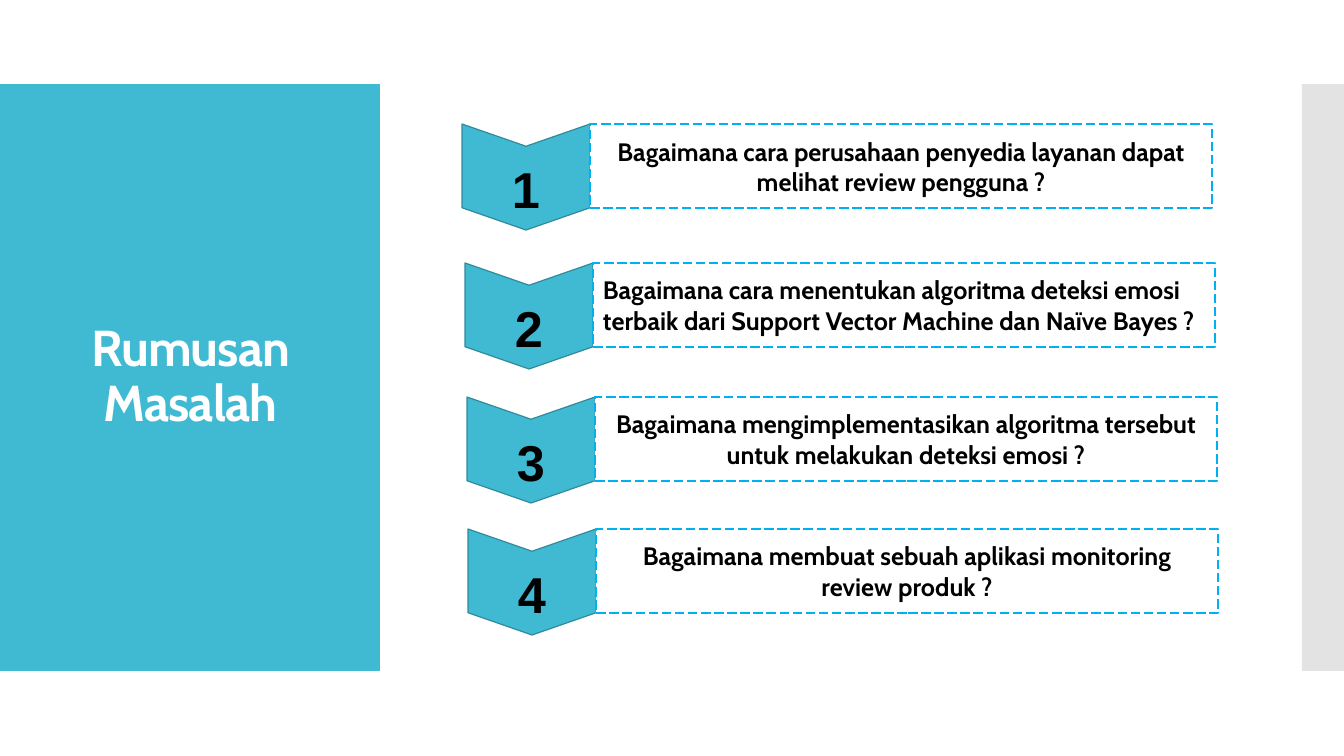
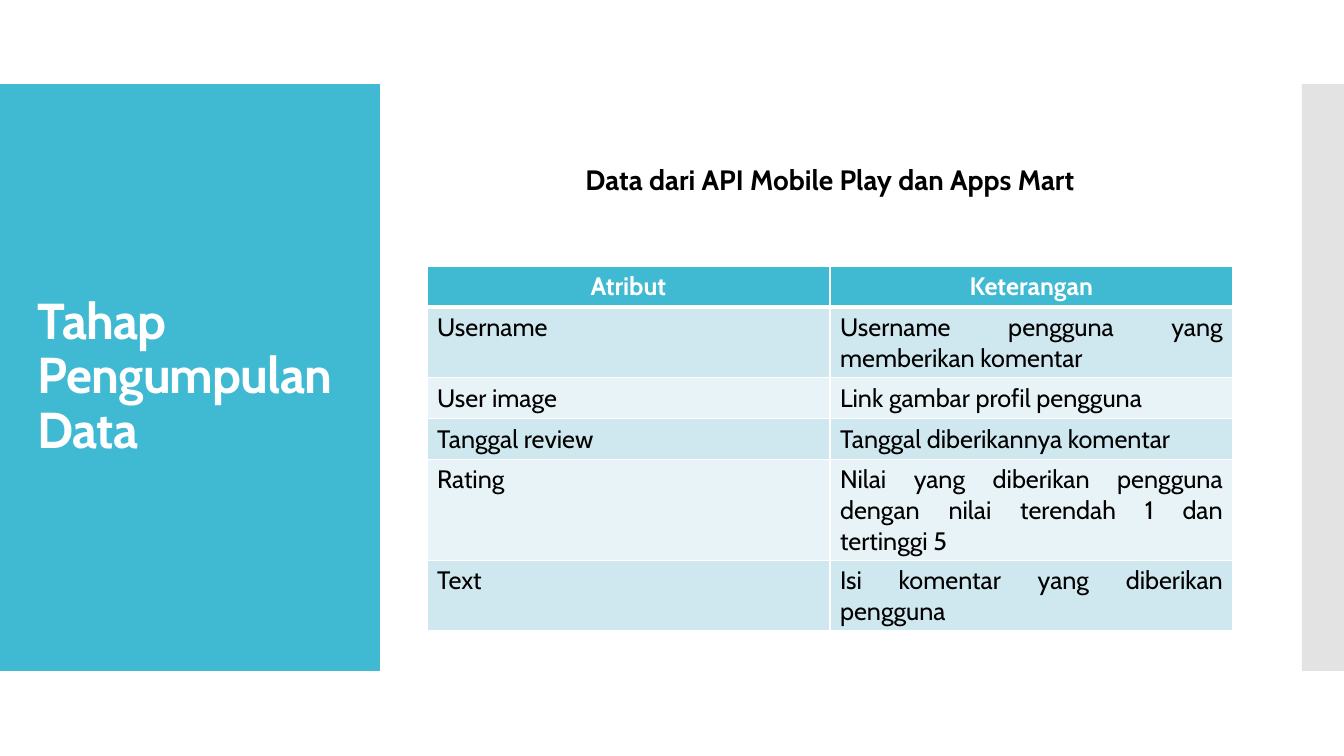
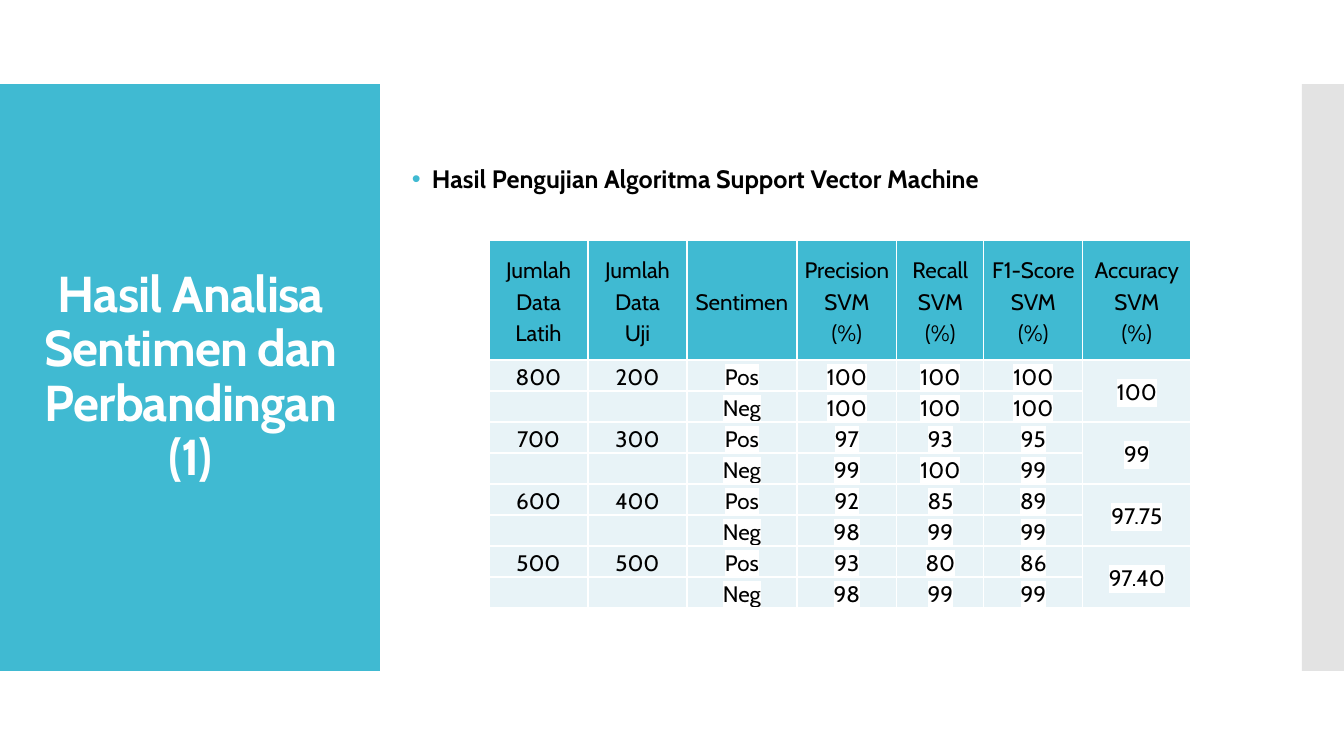
"""Build three slides on problem statements, data collection and sentiment results."""
from lxml.etree import SubElement
from pptx import Presentation
from pptx.dml.color import RGBColor
from pptx.enum.dml import MSO_LINE
from pptx.enum.shapes import MSO_SHAPE as SHAPE
from pptx.enum.text import MSO_ANCHOR as ANCHOR, PP_ALIGN as ALIGN
from pptx.oxml.ns import qn
from pptx.util import Emu, Pt

TEAL = RGBColor(0x40, 0xBA, 0xD2)
DARK_TEAL = RGBColor(0x2F, 0x8A, 0x9B)
BLUE = RGBColor(0x00, 0xB0, 0xF0)
GREY = RGBColor(0xC8, 0xC8, 0xC8)
PALE = RGBColor(0xE8, 0xF3, 0xF7)
PALE_BLUE = RGBColor(0xCF, 0xE7, 0xEE)
WHITE = RGBColor(0xFF, 0xFF, 0xFF)
BLACK = RGBColor(0x00, 0x00, 0x00)
FONT = "Cabin"
SCALE = 914400 / 100.8

QUESTIONS = [
    (462, 124, ALIGN.CENTER, "Bagaimana cara perusahaan penyedia layanan dapat melihat review pengguna ?"),
    (465, 263, ALIGN.LEFT, "Bagaimana cara menentukan algoritma deteksi emosi terbaik dari "
                           "Support Vector Machine dan Naïve Bayes ?"),
    (467, 397, ALIGN.CENTER, "Bagaimana mengimplementasikan algoritma tersebut untuk melakukan deteksi emosi ?"),
    (468, 529, ALIGN.CENTER, "Bagaimana membuat sebuah aplikasi monitoring review produk ?"),
]
ATTRIBUTES = [
    ("Atribut", "Keterangan"),
    ("Username", "Username pengguna yang memberikan komentar"),
    ("User image", "Link gambar profil pengguna"),
    ("Tanggal review", "Tanggal diberikannya komentar"),
    ("Rating", "Nilai yang diberikan pengguna dengan nilai terendah 1 dan tertinggi 5"),
    ("Text", "Isi komentar yang diberikan pengguna"),
]
SCORES = [
    ("Jumlah\nData\nLatih", "Jumlah\nData\nUji", "Sentimen", "Precision\nSVM\n(%)",
     "Recall\nSVM\n(%)", "F1-Score\nSVM\n(%)", "Accuracy\nSVM\n(%)"),
    ("800", "200", "Pos", "100", "100", "100", "100"),
    ("", "", "Neg", "100", "100", "100", ""),
    ("700", "300", "Pos", "97", "93", "95", "99"),
    ("", "", "Neg", "99", "100", "99", ""),
    ("600", "400", "Pos", "92", "85", "89", "97.75"),
    ("", "", "Neg", "98", "99", "99", ""),
    ("500", "500", "Pos", "93", "80", "86", "97.40"),
    ("", "", "Neg", "98", "99", "99", ""),
]


def px(length):
    """Turn pixels into EMU."""
    return Emu(round(length * SCALE))


def write(frame, text, size, color=BLACK, bold=True, align=ALIGN.LEFT,
          font=FONT, line_spacing=None, space_before=None):
    """Write each line of the text as a paragraph with one run and return the runs."""
    runs = []
    for index, line in enumerate(text.split("\n")):
        paragraph = frame.add_paragraph() if index else frame.paragraphs[0]
        paragraph.alignment = align
        paragraph.line_spacing = line_spacing
        paragraph.space_before = space_before
        run = paragraph.add_run()
        run.text = line
        run.font.size = Pt(size)
        run.font.name = font
        run.font.bold = bold
        run.font.color.rgb = color
        runs.append(run)
    return runs


def add_text(slide, box, text, size, anchor=ANCHOR.TOP, wrap=True, **style):
    """Add a text box and return its runs."""
    frame = slide.shapes.add_textbox(*map(px, box)).text_frame
    frame.word_wrap = wrap
    frame.vertical_anchor = anchor
    return write(frame, text, size, **style)


def add_block(slide, kind, box, fill, line=None):
    """Add a flat filled shape with an optional outline."""
    shape = slide.shapes.add_shape(kind, *map(px, box))
    shape.shadow.inherit = False
    shape.fill.solid()
    shape.fill.fore_color.rgb = fill
    if line is None:
        shape.line.fill.background()
    else:
        shape.line.color.rgb = line
        shape.line.width = Pt(0.85)
    return shape


def add_slide(presentation, title, align=ALIGN.CENTER):
    """Add a slide with the title panel and the translucent side band."""
    slide = presentation.slides.add_slide(presentation.slide_layouts[6])
    add_block(slide, SHAPE.RECTANGLE, (0, 84, 380, 587), TEAL)
    band = add_block(slide, SHAPE.RECTANGLE, (1302, 84, 42, 587), GREY)
    color = band.fill._xPr.find(qn("a:solidFill"))[0]
    SubElement(color, qn("a:alpha"), val="50000")
    runs = add_text(slide, (28, 124, 325, 507), title, 36, ANCHOR.MIDDLE,
                    color=WHITE, align=align, line_spacing=0.9)
    runs[0].font._element.set("spc", "-60")
    return slide


def add_question(slide, left, top, number, text, align):
    """Add a numbered downward chevron with its dashed question box."""
    width, height = 128, 106
    inset = (width - height) / 2
    chevron = add_block(slide, SHAPE.CHEVRON, (left + inset, top - inset, height, width),
                        TEAL, DARK_TEAL)
    chevron.rotation = 90
    chevron.adjustments[0] = 0.21
    card = add_block(slide, SHAPE.RECTANGLE, (left + width, top, 622, 84), WHITE, BLUE)
    card.line.dash_style = MSO_LINE.LONG_DASH
    card.text_frame.word_wrap = True
    card.text_frame.vertical_anchor = ANCHOR.MIDDLE
    write(card.text_frame, text, 18, align=align)
    add_text(slide, (left + 40, top + 29, 49, 72), str(number), 36, wrap=False, font="Arial")


def style_cell(cell, fill, bottom=1):
    """Give a cell white borders and a solid fill."""
    properties = cell._tc.get_or_add_tcPr()
    for side, width in (("L", 1), ("R", 1), ("T", 1), ("B", bottom)):
        border = SubElement(properties, qn("a:ln" + side), w=str(Pt(width)))
        SubElement(SubElement(border, qn("a:solidFill")), qn("a:srgbClr"), val=str(WHITE))
    cell.fill.solid()
    cell.fill.fore_color.rgb = fill


def add_grid(slide, left, top, columns, rows):
    """Add a plain table with the given column widths and row heights."""
    frame = slide.shapes.add_table(len(rows), len(columns), px(left), px(top),
                                   px(sum(columns)), px(sum(rows)))
    table = frame.table
    table.first_row = table.horz_banding = False
    for column, width in zip(table.columns, columns):
        column.width = px(width)
    for row, height in zip(table.rows, rows):
        row.height = px(height)
    return table


def add_attribute_table(slide, left, top, width):
    """Add the banded table of attributes and their meaning."""
    table = add_grid(slide, left, top, [width / 2] * 2, [41] * len(ATTRIBUTES))
    for row, values in enumerate(ATTRIBUTES):
        for column, value in enumerate(values):
            cell = table.cell(row, column)
            if row == 0:
                style_cell(cell, TEAL, bottom=3)
                write(cell.text_frame, value, 18, WHITE, align=ALIGN.CENTER)
            else:
                style_cell(cell, PALE_BLUE if row % 2 else PALE)
                write(cell.text_frame, value, 18, bold=False, align=ALIGN.JUSTIFY)


def highlight(run):
    """Put a white highlight behind a run."""
    properties = run.font._element
    mark = SubElement(properties, qn("a:highlight"))
    SubElement(mark, qn("a:srgbClr"), val=str(WHITE))
    properties.find(qn("a:solidFill")).addnext(mark)


def add_score_table(slide, left, top):
    """Add the score table, with one accuracy for each pair of rows."""
    table = add_grid(slide, left, top, [99, 99, 110, 100, 87, 99, 108],
                     [120] + [31] * (len(SCORES) - 1))
    accuracy = len(SCORES[0]) - 1
    for row, values in enumerate(SCORES):
        for column, value in enumerate(values):
            cell = table.cell(row, column)
            style_cell(cell, PALE if row else TEAL)
            cell.margin_left = cell.margin_right = px(7)
            cell.margin_top = cell.margin_bottom = 0
            if row == 0 or column == accuracy:
                cell.vertical_anchor = ANCHOR.MIDDLE
            if value:
                runs = write(cell.text_frame, value, 16, bold=False,
                             align=ALIGN.CENTER, line_spacing=1.15)
                if row and column >= 2:
                    highlight(runs[0])
    for row in range(1, len(SCORES), 2):
        table.cell(row, accuracy).merge(table.cell(row + 1, accuracy))


def add_bullet(slide, box, text):
    """Add a bold line with a teal bullet."""
    run = add_text(slide, box, text, 18, line_spacing=0.9, space_before=Pt(12))[0]
    properties = run._r.getparent().get_or_add_pPr()
    properties.set("marL", str(px(20)))
    properties.set("indent", str(-px(20)))
    SubElement(SubElement(properties, qn("a:buClr")), qn("a:srgbClr"), val=str(TEAL))
    SubElement(properties, qn("a:buFont"), typeface="Arial")
    SubElement(properties, qn("a:buChar"), char="•")


def build_questions(presentation):
    """Build the slide of problem statements."""
    slide = add_slide(presentation, "Rumusan Masalah")
    for number, (left, top, align, text) in enumerate(QUESTIONS, 1):
        add_question(slide, left, top, number, text, align)


def build_collection(presentation):
    """Build the slide on collected data."""
    slide = add_slide(presentation, "Tahap Pengumpulan Data", ALIGN.LEFT)
    add_text(slide, (427, 125, 806, 112), "Data dari API Mobile Play dan Apps Mart", 20,
             ANCHOR.MIDDLE, align=ALIGN.CENTER, line_spacing=0.9, space_before=Pt(12))
    add_attribute_table(slide, 427, 266, 806)


def build_results(presentation):
    """Build the slide of sentiment scores."""
    slide = add_slide(presentation, "Hasil Analisa Sentimen dan Perbandingan (1)")
    add_bullet(slide, (402, 162, 874, 53), "Hasil Pengujian Algoritma Support Vector Machine")
    add_score_table(slide, 489, 240)


def main():
    """Build and save the presentation."""
    presentation = Presentation()
    presentation.slide_width = px(1344)
    presentation.slide_height = px(756)
    build_questions(presentation)
    build_collection(presentation)
    build_results(presentation)
    presentation.save("out.pptx")


main()
